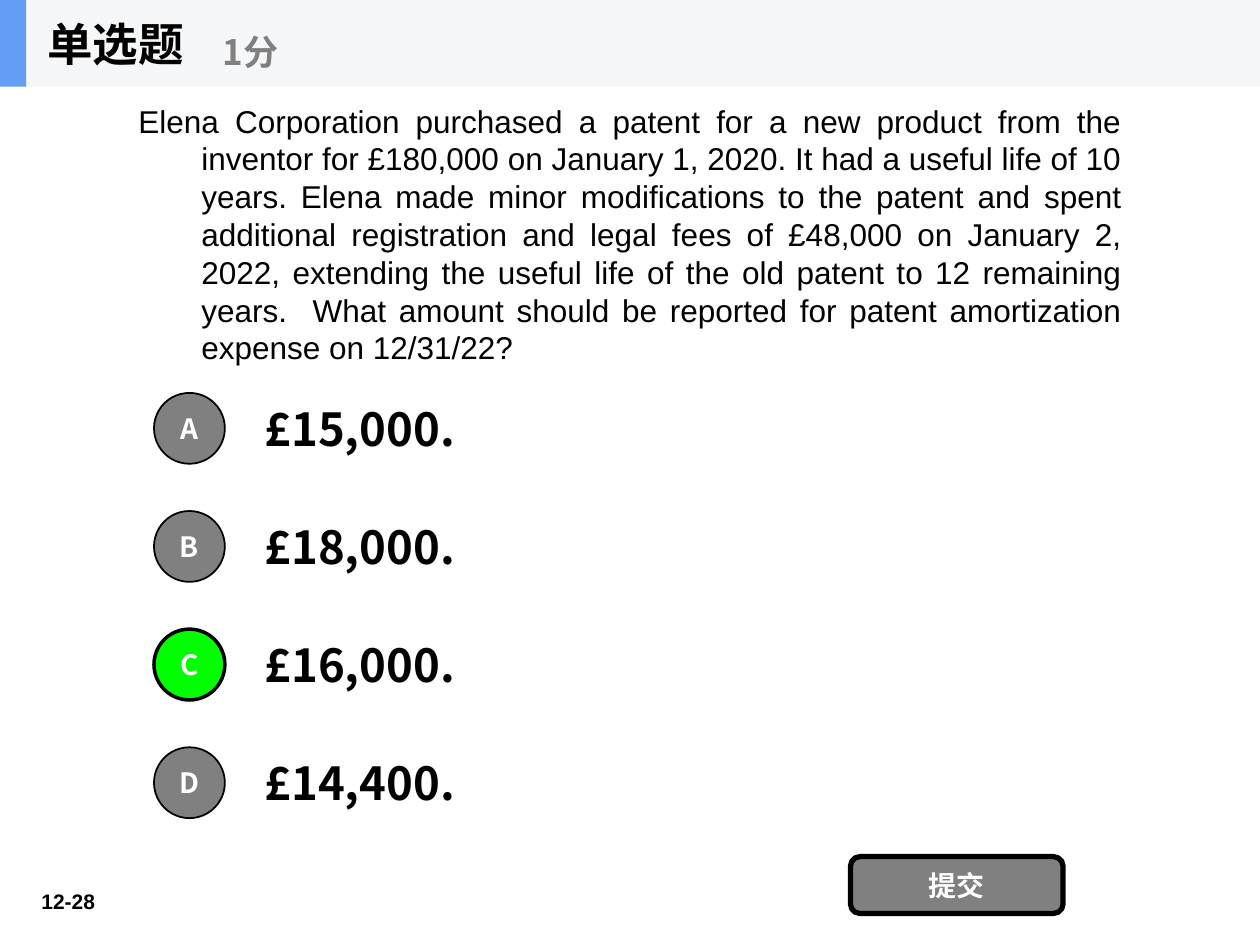
from lxml.etree import SubElement
from pptx import Presentation
from pptx.dml.color import RGBColor
from pptx.enum.shapes import MSO_SHAPE
from pptx.enum.text import MSO_ANCHOR, PP_ALIGN
from pptx.oxml.ns import qn
from pptx.util import Pt

HUES = {"black": "000000", "white": "FFFFFF", "gray": "808080",
        "green": "00FF00", "band": "F6F7F8", "blue": "639EF4"}
SANS = "Noto Sans CJK SC"


def add_form(shapes, kind, area, fill, line=0):
    form = shapes.add_shape(kind, *map(Pt, area))
    form.shadow.inherit = False
    form.fill.solid()
    form.fill.fore_color.rgb = RGBColor.from_string(HUES[fill])
    if line:
        form.line.color.rgb = RGBColor.from_string(HUES["black"])
        form.line.width = Pt(line)
    else:
        form.line.fill.background()
    return form


def put_text(form, text, size, hue="black", face=SANS, bold=True,
             align=PP_ALIGN.LEFT, wrap=True, anchor=MSO_ANCHOR.MIDDLE):
    frame = form.text_frame
    for name, value in {"word_wrap": wrap, "vertical_anchor": anchor}.items():
        setattr(frame, name, value)
    para = frame.paragraphs[0]
    para.alignment = align
    run = para.add_run()
    run.text = text
    for name, value in {"size": Pt(size), "bold": bold, "name": face}.items():
        setattr(run.font, name, value)
    run.font.color.rgb = RGBColor.from_string(HUES[hue])
    SubElement(run.font._element, qn("a:ea")).set("typeface", face)
    return para


deck = Presentation()
deck.slide_width, deck.slide_height = Pt(720), Pt(540)
slide = deck.slides.add_slide(deck.slide_layouts[6])
shapes = slide.shapes

page = shapes.add_textbox(Pt(6), Pt(504), Pt(66), Pt(21.6))
put_text(page, "12-28", 12, face="Arial", align=PP_ALIGN.CENTER,
         anchor=MSO_ANCHOR.TOP)

head = shapes.add_group_shape().shapes
add_form(head, MSO_SHAPE.RECTANGLE, (0, 0, 720, 49.5), "band")
add_form(head, MSO_SHAPE.RECTANGLE, (0, 0, 15, 49.5), "blue")
title = head.add_textbox(Pt(20), Pt(0), Pt(150), Pt(49.5))
put_text(title, "单选题", 26, wrap=False)
score = head.add_textbox(Pt(120), Pt(9), Pt(180), Pt(40.5))
put_text(score, "1分", 20, "gray", wrap=False)

query = shapes.add_textbox(Pt(72), Pt(49.5), Pt(576), Pt(168.5))
para = put_text(
    query,
    "Elena Corporation purchased a patent for a new product from the inventor "
    "for £180,000 on January 1, 2020. It had a useful life of 10 years. Elena "
    "made minor modifications to the patent and spent additional registration "
    "and legal fees of £48,000 on January 2, 2022, extending the useful life "
    "of the old patent to 12 remaining years.  What amount should be reported "
    "for patent amortization expense on 12/31/22?",
    18, face="Arial", bold=False, align=PP_ALIGN.JUSTIFY)
for name, value in {"marL": Pt(36), "indent": Pt(-36)}.items():
    para._p.get_or_add_pPr().set(name, str(value))

picks = {"A": "£15,000.", "B": "£18,000.", "C": "£16,000.", "D": "£14,400."}
for row, (mark, sum_text) in enumerate(picks.items()):
    top = 219.5 + 67.5 * row
    label = shapes.add_textbox(Pt(144), Pt(top), Pt(504), Pt(50.5))
    put_text(label, sum_text, 26)
    fill, line = ("green", 2) if mark == "C" else ("gray", 1)
    disc = add_form(shapes, MSO_SHAPE.OVAL, (88, top + 5, 40.5, 40.5), fill, line)
    put_text(disc, mark, 16, "white", align=PP_ALIGN.CENTER, wrap=False)

send = add_form(shapes, MSO_SHAPE.ROUNDED_RECTANGLE, (486, 489.5, 121.5, 32.5),
                "gray", 3)
put_text(send, "提交", 16, "white", align=PP_ALIGN.CENTER, wrap=False)

deck.save("out.pptx")
